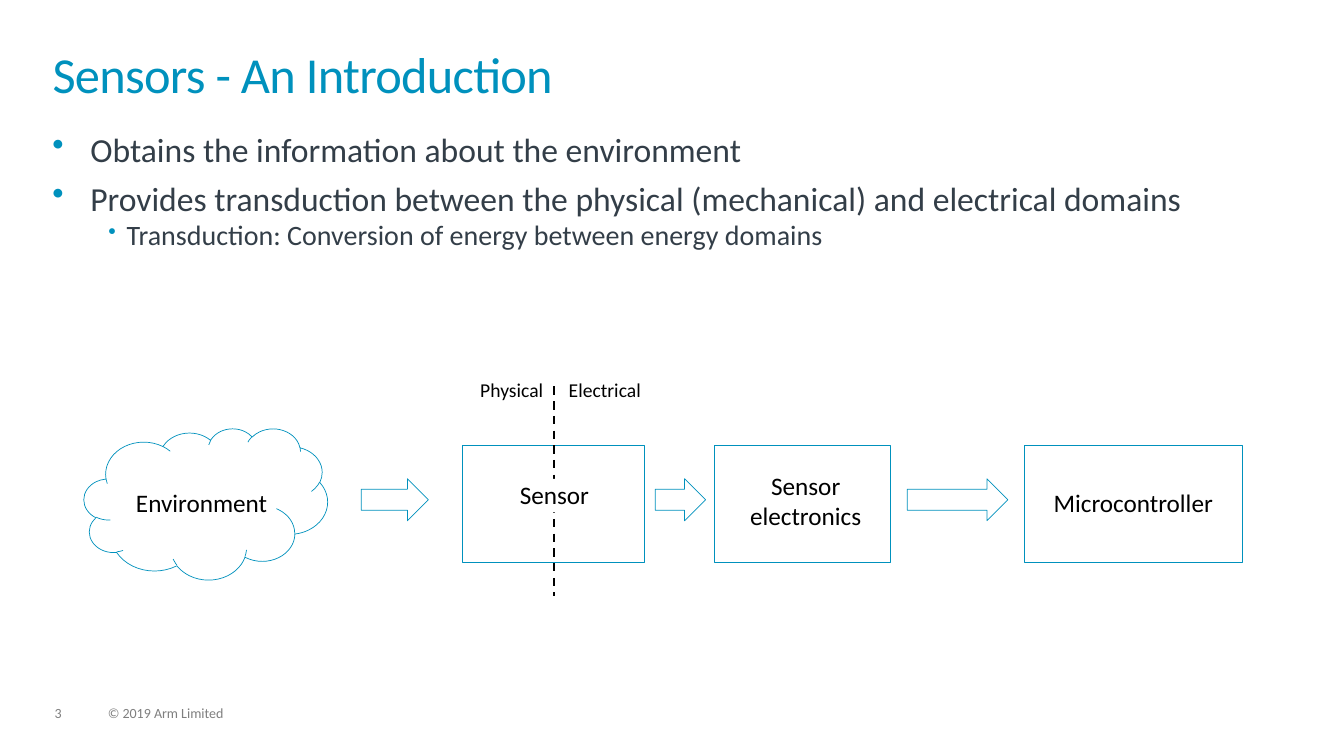
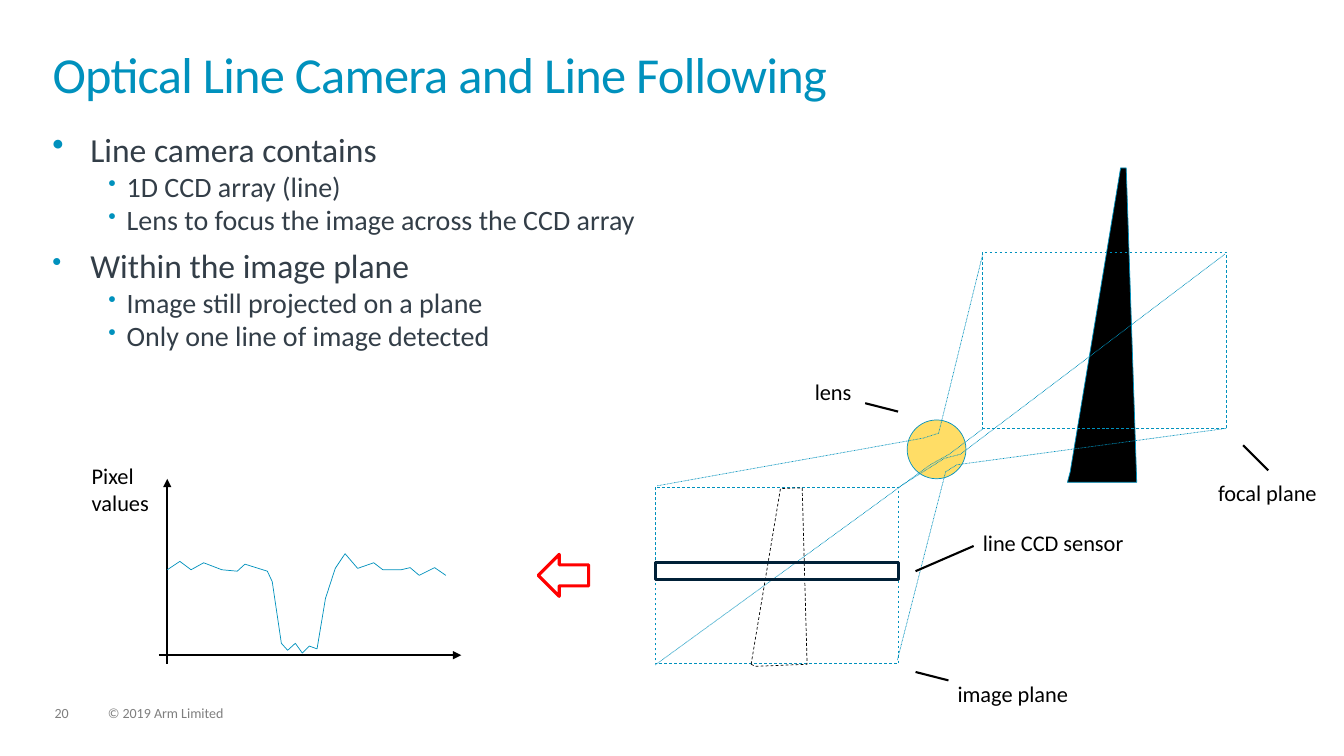
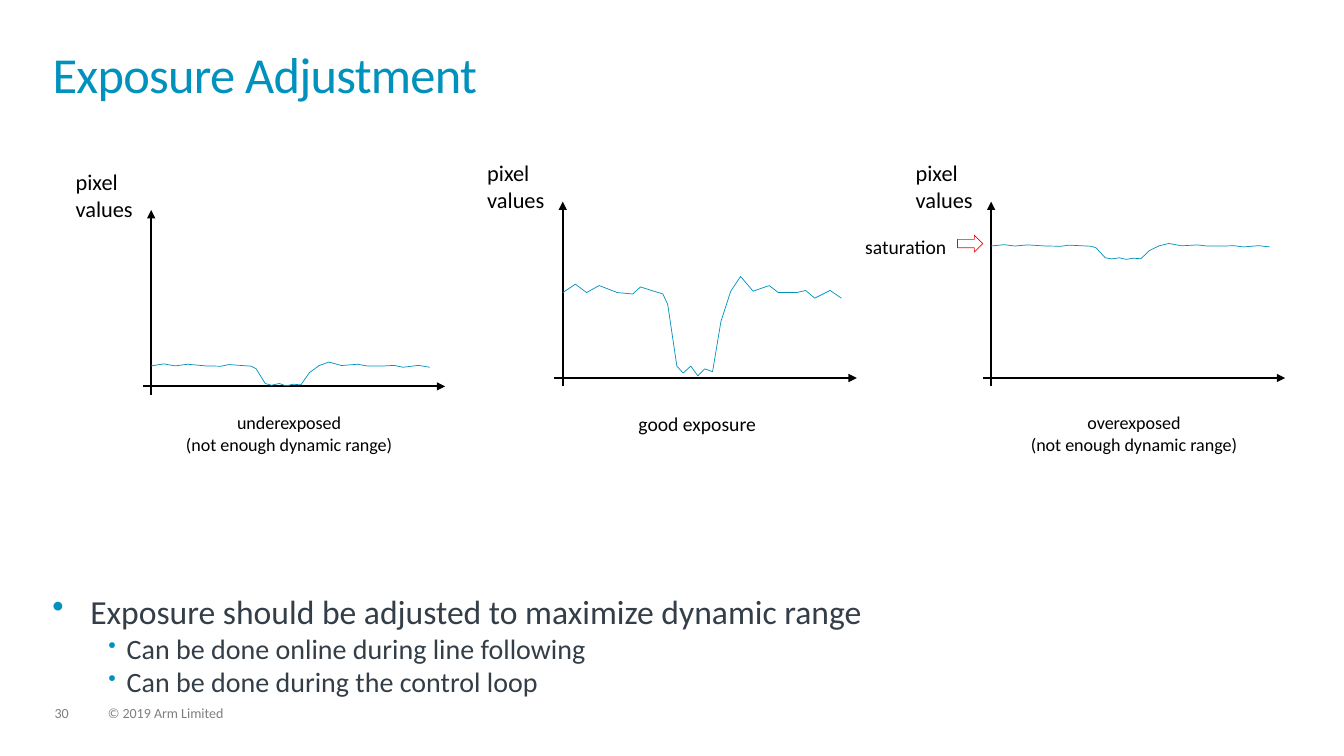
from lxml import etree
from pptx import Presentation
from pptx.dml.color import RGBColor
from pptx.enum import dml, shapes, text
from pptx.oxml.ns import qn
from pptx.util import Pt

FONT = "Calibri"
BLUE = RGBColor(0x00, 0x91, 0xBD)
SLATE = RGBColor(0x33, 0x3E, 0x48)
NAVY = RGBColor(0x00, 0x20, 0x37)
GRAY = RGBColor(0x7F, 0x7F, 0x7F)
BLACK = RGBColor(0, 0, 0)
WHITE = RGBColor(0xFF, 0xFF, 0xFF)
RED = RGBColor(0xFF, 0, 0)
YELLOW = RGBColor(0xFF, 0xDD, 0x66)

KIND = shapes.MSO_SHAPE
DASH = dml.MSO_LINE.DASH
DOT = dml.MSO_LINE.ROUND_DOT
LEFT = text.PP_ALIGN.LEFT
CENTER = text.PP_ALIGN.CENTER

COPYRIGHT = "© 2019 Arm Limited"

# style: size, left margin, hanging indent, space before, bullet percent
BULLETS = {
    "head": (24, 27, 27, 6, 100),
    "part": (24, 27, 27, 6, 80),
    "sub": (20, 53, 13, 0, 80),
}
INTRO = [
    ("head", "Obtains the information about the environment"),
    ("head", "Provides transduction between the physical (mechanical) and electrical domains"),
    ("sub", "Transduction: Conversion of energy between energy domains"),
]
CAMERA = [
    ("head", "Line camera contains"),
    ("sub", "1D CCD array (line)"),
    ("sub", "Lens to focus the image across the CCD array"),
    ("part", "Within the image plane"),
    ("sub", "Image still projected on a plane"),
    ("sub", "Only one line of image detected"),
]
EXPOSURE = [
    ("head", "Exposure should be adjusted to maximize dynamic range"),
    ("sub", "Can be done online during line following"),
    ("sub", "Can be done during the control loop"),
]

FLOW_TOP, FLOW_HEIGHT = 318, 84
FLOW_BOXES = [(330, 130), (510, 126), (731.5, 156)]
FLOW_ARROWS = [(258, 48), (468, 36), (648, 72)]
FLOW_LABELS = [
    (["Sensor"], (348, 342, 96, 24), 18, WHITE),
    (["Environment"], (96, 348, 96, 24), 18, WHITE),
    (["Physical"], (317.5, 270, 96, 24), 14, None),
    (["Electrical"], (384, 270, 96, 24), 14, None),
    (["Sensor", "electronics"], (515.5, 336, 120, 78), 18, None),
    (["Microcontroller"], (749.5, 348, 120, 30), 18, None),
]

ROAD = [(764.5, 337), (800.5, 120), (804.5, 120), (812, 344.5), (762.5, 344.5)]
ROAD_IMAGE = [(536.5, 474.5), (557.5, 349), (573, 348.5), (576.5, 474.5), (539.5, 476)]
RAYS = [
    [(469.5, 347), (659.5, 313), (670.5, 309.5), (702, 181.5)],
    [(642, 348), (674.5, 327.5), (686, 324.5), (875, 181.5)],
    [(641, 471.5), (675.5, 337), (683.5, 332), (876, 306)],
    [(468, 475), (664.5, 332), (678, 324.5), (702.5, 306)],
]
CAMERA_LABELS = [
    ("lens", (582, 270), ((618, 288), (641.5, 294))),
    ("image plane", (684, 486), ((654, 480), (677.5, 486))),
    ("focal plane", (870, 342), ((888, 318), (906, 336))),
    ("line CCD sensor", (702, 378), ((654, 408), (695.5, 390))),
]

SIGNAL = [
    (0, 61), (9, 67), (17, 61), (26, 66), (39, 61), (50, 60), (55.5, 65),
    (71.5, 60), (75, 52.5), (81.5, 8.5), (86, 3.5), (91.5, 8.5), (96.5, 1.5),
    (101.5, 6.5), (107, 4.5), (113, 40.5), (120, 62), (127, 72.5), (136, 62),
    (147.5, 66), (154, 61), (167, 61), (173.5, 62.5), (180, 57), (191, 62.5),
    (199, 57),
]
LIMITED = "(not enough dynamic range)"
# origin, signal gain, signal offset, caption, caption box, size, alignment
PLOTS = [
    ((402, 270), 1, 0, ["good exposure"], (456, 294, 120, 30), 14, LEFT),
    ((108, 276), 0.24, 0, ["underexposed", LIMITED], (119.5, 294, 174, 30), 12.9, CENTER),
    ((708, 270), 0.16, 84.5, ["overexposed", LIMITED], (720, 294, 180, 30), 12.9, CENTER),
]


def pts(*values):
    return [Pt(v) for v in values]


def add_run(p, words, size, color):
    r = p.add_run()
    r.text = words
    r.font.name = FONT
    r.font.size = Pt(size)
    r.font.color.rgb = color
    return r


def prepare(tf):
    tf.margin_left = tf.margin_right = tf.margin_top = tf.margin_bottom = 0
    tf.word_wrap = True
    tf.auto_size = text.MSO_AUTO_SIZE.NONE
    tf.vertical_anchor = text.MSO_ANCHOR.TOP
    return tf


def add_label(s, lines, box, size, color=BLACK, align=LEFT, fill=None):
    sp = s.shapes.add_textbox(*pts(*box))
    if fill is not None:
        sp.fill.solid()
        sp.fill.fore_color.rgb = fill
    tf = prepare(sp.text_frame)
    for i, words in enumerate(lines):
        p = tf.paragraphs[0] if i == 0 else tf.add_paragraph()
        p.alignment = align
        add_run(p, words, size, color)
    return tf


def add_bullets(s, items, top, height):
    tf = prepare(s.shapes.add_textbox(*pts(37.5, top, 884, height)).text_frame)
    for i, (style, words) in enumerate(items):
        size, margin, hang, before, percent = BULLETS[style]
        p = tf.paragraphs[0] if i == 0 else tf.add_paragraph()
        pPr = p._p.get_or_add_pPr()
        pPr.set("marL", str(Pt(margin)))
        pPr.set("indent", str(-Pt(hang)))
        color = etree.SubElement(pPr, qn("a:buClr"))
        etree.SubElement(color, qn("a:srgbClr"), val=str(BLUE))
        etree.SubElement(pPr, qn("a:buSzPct"), val=str(percent * 1000))
        etree.SubElement(pPr, qn("a:buChar"), char="•")
        p.space_before = Pt(before if i else 0)
        add_run(p, words, size, SLATE)


def paint(sp, fill=None, color=BLUE, width=0.5, dash=None):
    sp.shadow.inherit = False
    if fill is None:
        sp.fill.background()
    else:
        sp.fill.solid()
        sp.fill.fore_color.rgb = fill
    sp.line.color.rgb = color
    sp.line.width = Pt(width)
    if dash is not None:
        sp.line.dash_style = dash


def add_figure(s, kind, box, **look):
    paint(s.shapes.add_shape(kind, *pts(*box)), **look)


def add_outline(s, points, close=False, **look):
    fb = s.shapes.build_freeform(*pts(*points[0]), scale=1.0)
    fb.add_line_segments([pts(*point) for point in points[1:]], close=close)
    paint(fb.convert_to_shape(), **look)


def add_line(s, start, end, dash=None, arrow=False):
    cn = s.shapes.add_connector(shapes.MSO_CONNECTOR.STRAIGHT, *pts(*start, *end))
    cn.line.color.rgb = BLACK
    cn.line.width = Pt(1.5)
    if dash is not None:
        cn.line.dash_style = dash
    spPr = cn._element.spPr
    if arrow:
        etree.SubElement(spPr.find(qn("a:ln")), qn("a:tailEnd"), type="triangle")
    etree.SubElement(spPr, qn("a:effectLst"))


def add_plot(s, origin, label, label_rise, gain=1, offset=0):
    x, y = origin
    add_line(s, (x, y + 6), (x, y - 126), arrow=True)
    add_line(s, (x - 6, y), (x + 210, y), arrow=True)
    add_outline(s, [(x + dx, y - offset - gain * dy) for dx, dy in SIGNAL])
    add_label(s, [label], (x - 54, y - label_rise, 60, 42), 16)


def add_slide(prs, number, title):
    s = prs.slides.add_slide(prs.slide_layouts[5])
    sp = s.shapes.title
    sp.left, sp.top, sp.width, sp.height = pts(37.5, 37.5, 884, 52)
    p = prepare(sp.text_frame).paragraphs[0]
    p.alignment = LEFT
    p.line_spacing = 0.85
    r = add_run(p, title, 36, BLUE)
    r._r.get_or_add_rPr().set("spc", "-50")
    for words, left, width in ((str(number), 39, 24), (COPYRIGHT, 77, 123)):
        tf = add_label(s, [words], (left, 504.5, width, 11), 10, GRAY)
        tf.paragraphs[0].line_spacing = 0.9
    return s


def build_intro(prs):
    s = add_slide(prs, 3, "Sensors - An Introduction")
    add_bullets(s, INTRO, 92, 322)
    add_figure(s, KIND.CLOUD, (60, 306, 174, 108))
    for left, width in FLOW_BOXES:
        add_figure(s, KIND.RECTANGLE, (left, FLOW_TOP, width, FLOW_HEIGHT))
    for left, width in FLOW_ARROWS:
        add_figure(s, KIND.RIGHT_ARROW, (left, 342, width, 30))
    add_line(s, (396, 276), (396, 426), dash=DASH)
    for lines, box, size, fill in FLOW_LABELS:
        add_label(s, lines, box, size, align=CENTER, fill=fill)


def build_camera(prs):
    s = add_slide(prs, 20, "Optical Line Camera and Line Following")
    add_bullets(s, CAMERA, 92, 322)
    add_outline(s, ROAD, close=True, fill=BLACK)
    add_figure(s, KIND.RECTANGLE, (702, 180, 174, 126), dash=DASH)
    add_figure(s, KIND.OVAL, (648, 300, 42, 42), fill=YELLOW)
    add_figure(s, KIND.RECTANGLE, (468, 348, 174, 126), dash=DASH)
    for ray in RAYS:
        add_outline(s, ray, dash=DOT)
    add_outline(s, ROAD_IMAGE, close=True, color=BLACK, dash=DASH)
    add_figure(s, KIND.RECTANGLE, (468, 402, 174, 12), color=NAVY, width=2.25)
    add_figure(s, KIND.LEFT_ARROW, (384.5, 396, 36, 30), color=RED, width=2.25)
    add_plot(s, (119.5, 468), "Pixel values", 138)
    for words, (left, top), (start, end) in CAMERA_LABELS:
        width = min(114, 954 - left)
        add_label(s, [words], (left, top, width, 42), 16)
        add_line(s, start, end)


def build_exposure(prs):
    s = add_slide(prs, 30, "Exposure Adjustment")
    add_bullets(s, EXPOSURE, 422, 80)
    for origin, gain, offset, caption, box, size, align in PLOTS:
        add_plot(s, origin, "pixel values", 156, gain, offset)
        add_label(s, caption, box, size, align=align)
    add_figure(s, KIND.RIGHT_ARROW, (684, 168, 18, 12), color=RED)
    add_label(s, ["saturation"], (618, 168, 66, 30), 14)


def main():
    prs = Presentation()
    prs.slide_width, prs.slide_height = pts(960, 540)
    build_intro(prs)
    build_camera(prs)
    build_exposure(prs)
    prs.save("out.pptx")


if __name__ == "__main__":
    main()
